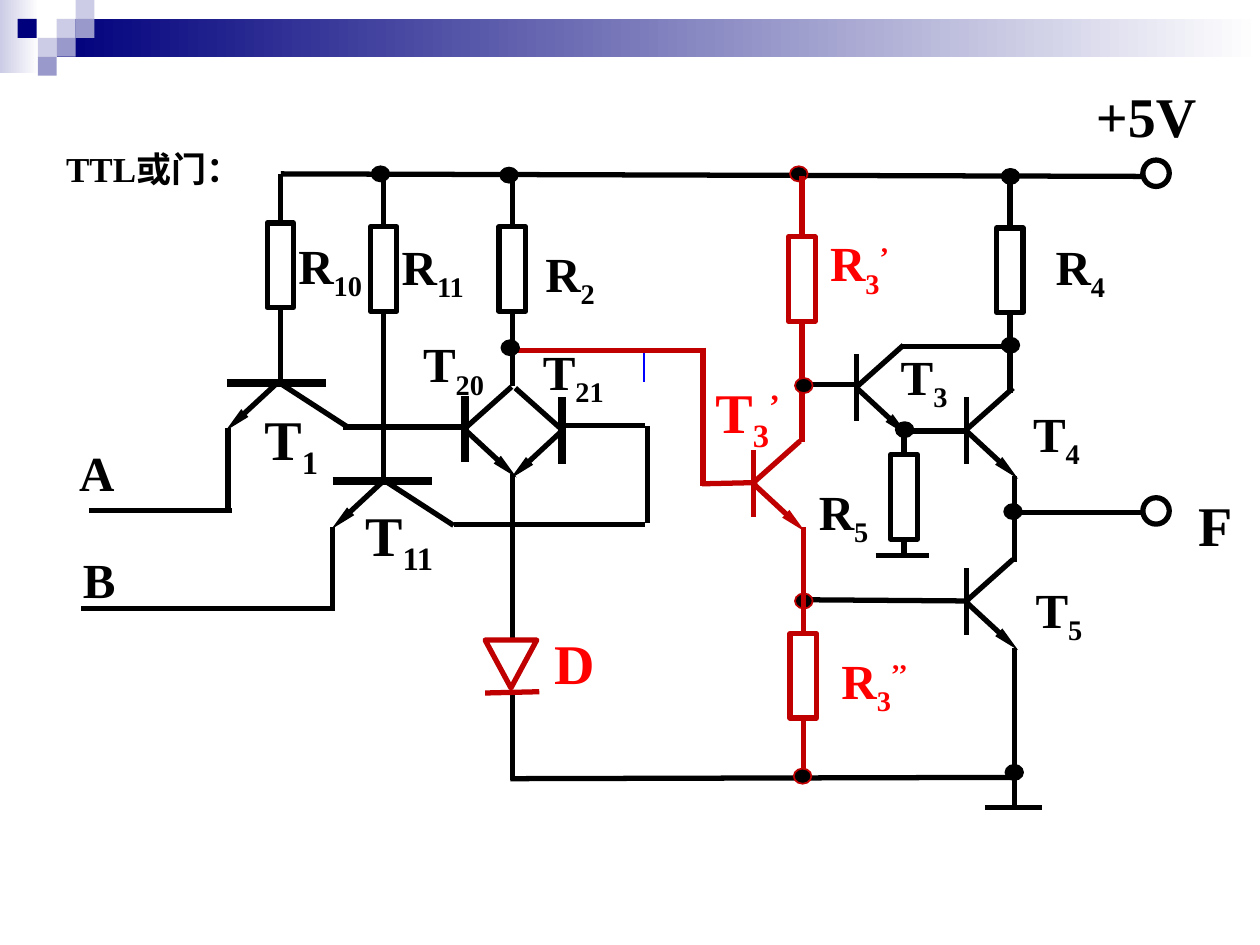
from lxml import etree
from pptx import Presentation, util as u
from pptx.dml.color import RGBColor
from pptx.enum import shapes, text
from pptx.oxml.ns import qn

EMU_PER_PX = 9144  # 100 px to the inch
FONT = "Times New Roman"
COLOURS = {
    "black": "000000", "wire red": "C00000", "text red": "FF0000", "blue": "0000FF",
    "navy": "00007D", "lilac": "9999CC", "pale": "CCCCE6", "white": "FFFFFF",
}
RESISTOR_WIDTH, RESISTOR_HEIGHT = 21, 67

# left, top, upper lead end, lower lead end
BLACK_RESISTORS = [
    (212, 177, 138, 304), (294, 180, 138, 382), (396, 180, 138, 306),
    (791, 181, 138, 312), (707, 361, 340, 442),
]
RED_RESISTORS = [(626, 188, 140, 351), (627, 503, 418, 619)]

BLACK_WIRES = [
    (223, 138, 907, 140),                                              # supply rail
    (272, 339, 369, 339), (181, 340, 181, 407), (184, 405, 71, 405),   # T1
    (264, 418, 264, 485), (266, 483, 64, 483),                         # T11
    (444, 338, 512, 338), (514, 338, 514, 415), (360, 416, 512, 416),  # T21 base
    (407, 376, 407, 509), (407, 549, 407, 619), (405, 618, 804, 617),  # diode, ground rail
    (682, 305, 640, 305), (715, 275, 802, 275),                        # T3
    (715, 342, 767, 342), (695, 441, 737, 441),                        # T4 base, R5 ground
    (770, 477, 636, 476), (805, 378, 805, 446),                        # T5
    (805, 514, 805, 642), (782, 641, 827, 641), (805, 407, 908, 407),  # ground, output
]
RED_WIRES = [
    (407, 278, 558, 278), (558, 276, 558, 386), (601, 383, 557, 384),  # T3' base
    (428, 549, 385, 550),                                              # diode bar
]
# bar x, bar top, bar width in points, direction
BLACK_TRANSISTORS = [
    (369, 314, 4.5, 1), (446, 315, 4.5, -1), (680, 281, 3, 1),
    (767, 315, 3, 1), (767, 451, 3, 1),
]
BLACK_DOTS = [
    (397, 133), (295, 132), (795, 134), (798, 607), (398, 270),
    (795, 268), (711, 335), (797, 400),
]
RED_DOTS_UNDER = [(631, 471), (627, 132)]
RED_DOTS_OVER = [(631, 300), (630, 610)]

# left, top, width, size, letter, subscript, superscript, colour
LABELS = [
    (860, 60, 137, 32, "+5V", "", "", "black"),
    (941, 384, 81, 32, "F", "", "", "black"),
    (53, 346, 77, 28, "A", "", "", "black"),
    (56, 431, 77, 28, "B", "", "", "black"),
    (227, 182, 114, 28, "R", "10", "", "black"),
    (309, 183, 114, 28, "R", "11", "", "black"),
    (423, 188, 114, 28, "R", "2", "", "black"),
    (828, 183, 114, 28, "R", "4", "", "black"),
    (640, 377, 68, 28, "R", "5", "", "black"),
    (200, 316, 79, 32, "T", "1", "", "black"),
    (280, 392, 79, 32, "T", "11", "", "black"),
    (326, 260, 83, 28, "T", "20", "", "black"),
    (421, 266, 99, 28, "T", "21", "", "black"),
    (705, 270, 108, 28, "T", "3", "", "black"),
    (810, 315, 72, 28, "T", "4", "", "black"),
    (812, 455, 72, 28, "T", "5", "", "black"),
    (649, 180, 112, 28, "R", "3", "’", "text red"),
    (658, 511, 112, 28, "R", "3", "’’", "text red"),
    (558, 295, 79, 32, "T", "3", "’", "text red"),
    (430, 494, 79, 32, "D", "", "", "text red"),
]


def px(value):
    return u.Emu(int(value * EMU_PER_PX))


def rgb(name):
    return RGBColor.from_string(COLOURS[name])


def add_outline(page, kind, left, top, width, height, line, points=3, fill=None):
    """Add a preset shape; a line or fill of None is left out."""
    shape = page.shapes.add_shape(kind, px(left), px(top), px(width), px(height))
    shape.shadow.inherit = False
    if fill:
        shape.fill.solid()
        shape.fill.fore_color.rgb = rgb(fill)
    else:
        shape.fill.background()
    if line:
        shape.line.color.rgb = rgb(line)
        shape.line.width = u.Pt(points)
    else:
        shape.line.fill.background()
    return shape


def add_gradient_bar(page, left, top, width, height, start):
    bar = add_outline(page, shapes.MSO_SHAPE.RECTANGLE, left, top, width, height, None)
    bar.fill.gradient()
    bar.fill.gradient_angle = 0
    for stop, name, position in zip(bar.fill.gradient_stops, (start, "white"), (0, 1)):
        stop.color.rgb = rgb(name)
        stop.position = position


def add_wire(page, ends, colour="black", points=3, arrow=False):
    wire = page.shapes.add_connector(shapes.MSO_CONNECTOR.STRAIGHT, *map(px, ends))
    wire.line.color.rgb = rgb(colour)
    wire.line.width = u.Pt(points)
    if arrow:
        etree.SubElement(wire.line._get_or_add_ln(), qn("a:tailEnd"),
                         type="triangle", w="sm", len="lg")
    etree.SubElement(wire._element.spPr, qn("a:effectLst"))
    return wire


def add_resistor(page, left, top, upper, lower, colour="black"):
    """Add a resistor whose two vertical leads end at the heights upper and lower."""
    body = add_outline(page, shapes.MSO_SHAPE.RECTANGLE, left, top,
                       RESISTOR_WIDTH, RESISTOR_HEIGHT, colour)
    middle = left + RESISTOR_WIDTH / 2
    for side, edge, end in ((0, top, upper), (2, top + RESISTOR_HEIGHT, lower)):
        lead = add_wire(page, (middle, edge, middle, end), colour)
        lead.begin_connect(body, side)


def add_transistor(page, x, top, points, direction, colour="black"):
    """Add an upright transistor; direction 1 opens to the right, -1 to the left."""
    add_wire(page, (x, top, x, top + 53), colour, points)
    add_wire(page, (x, top + 27, x + 41 * direction, top + 65), colour, arrow=True)
    add_wire(page, (x, top + 26, x + 37 * direction, top - 7), colour)


def add_input_transistor(page, left, y):
    """Add a transistor with a level bar, emitter at the left."""
    add_wire(page, (left, y, left + 79, y), points=4.5)
    add_wire(page, (left + 40, y, left - 1, y + 38), arrow=True)
    add_wire(page, (left + 42, y, left + 96, y + 35))


def add_dots(page, places, colour):
    for left, top in places:
        add_outline(page, shapes.MSO_SHAPE.OVAL, left, top, 14, 12, colour, 1, "black")


def format_span(span, size, colour):
    span.font.name = FONT
    span.font.size = u.Pt(size)
    span.font.bold = True
    span.font.color.rgb = rgb(colour)


def add_label(page, left, top, width, size, letter, subscript, superscript, colour):
    box = page.shapes.add_textbox(px(left), px(top), px(width), px(size * 2))
    box.text_frame.word_wrap = True
    para = box.text_frame.paragraphs[0]
    for words, baseline in ((letter, 0), (subscript, -25000), (superscript, 30000)):
        if words:
            span = para.add_run()
            span.text = words
            format_span(span, size, colour)
            if baseline:
                span.font._element.set("baseline", str(baseline))


def set_title(page, words):
    title = page.shapes.title
    title.left, title.top, title.width, title.height = map(px, (42, 112, 160, 44))
    frame = title.text_frame
    frame.text = words
    frame.word_wrap = False
    frame.auto_size = text.MSO_AUTO_SIZE.NONE
    frame.vertical_anchor = text.MSO_ANCHOR.MIDDLE
    para = frame.paragraphs[0]
    para.alignment = text.PP_ALIGN.CENTER
    format_span(para.runs[0], 20, "black")


def add_banner(page):
    add_gradient_bar(page, 0, 0, 31, 58, "pale")
    add_gradient_bar(page, 45, 15, 955, 30, "navy")
    for left, top, colour in (
        (45, 15, "pale"), (60, 0, "pale"), (60, 15, "lilac"), (30, 30, "pale"),
        (14, 15, "navy"), (45, 30, "lilac"), (30, 45, "lilac"),
    ):
        add_outline(page, shapes.MSO_SHAPE.RECTANGLE, left, top, 15, 15, None, fill=colour)


def add_circuit(page):
    for resistor in BLACK_RESISTORS:
        add_resistor(page, *resistor)
    for ends in BLACK_WIRES:
        add_wire(page, ends)
    for transistor in BLACK_TRANSISTORS:
        add_transistor(page, *transistor)
    for left, y in ((180, 304), (264, 382)):
        add_input_transistor(page, left, y)
    for top in (127, 395):
        add_outline(page, shapes.MSO_SHAPE.OVAL, 907, top, 21, 21, "black")
    add_wire(page, (511, 278, 511, 303), "blue", 1)

    add_dots(page, RED_DOTS_UNDER, "wire red")
    for ends in RED_WIRES:
        add_wire(page, ends, "wire red")
    for resistor in RED_RESISTORS:
        add_resistor(page, *resistor, "wire red")
    add_transistor(page, 598, 357, 3, 1, "wire red")
    diode = add_outline(page, shapes.MSO_SHAPE.ISOSCELES_TRIANGLE, 385, 508, 41, 38, "wire red")
    diode.rotation = 180
    add_dots(page, RED_DOTS_OVER, "wire red")
    add_dots(page, BLACK_DOTS, "black")


def main():
    deck = Presentation()
    deck.slide_width, deck.slide_height = px(1000), px(750)
    page = deck.slides.add_slide(deck.slide_layouts[5])
    add_banner(page)
    set_title(page, "TTL或门：")
    add_circuit(page)
    for label in LABELS:
        add_label(page, *label)
    deck.save("out.pptx")


if __name__ == "__main__":
    main()
